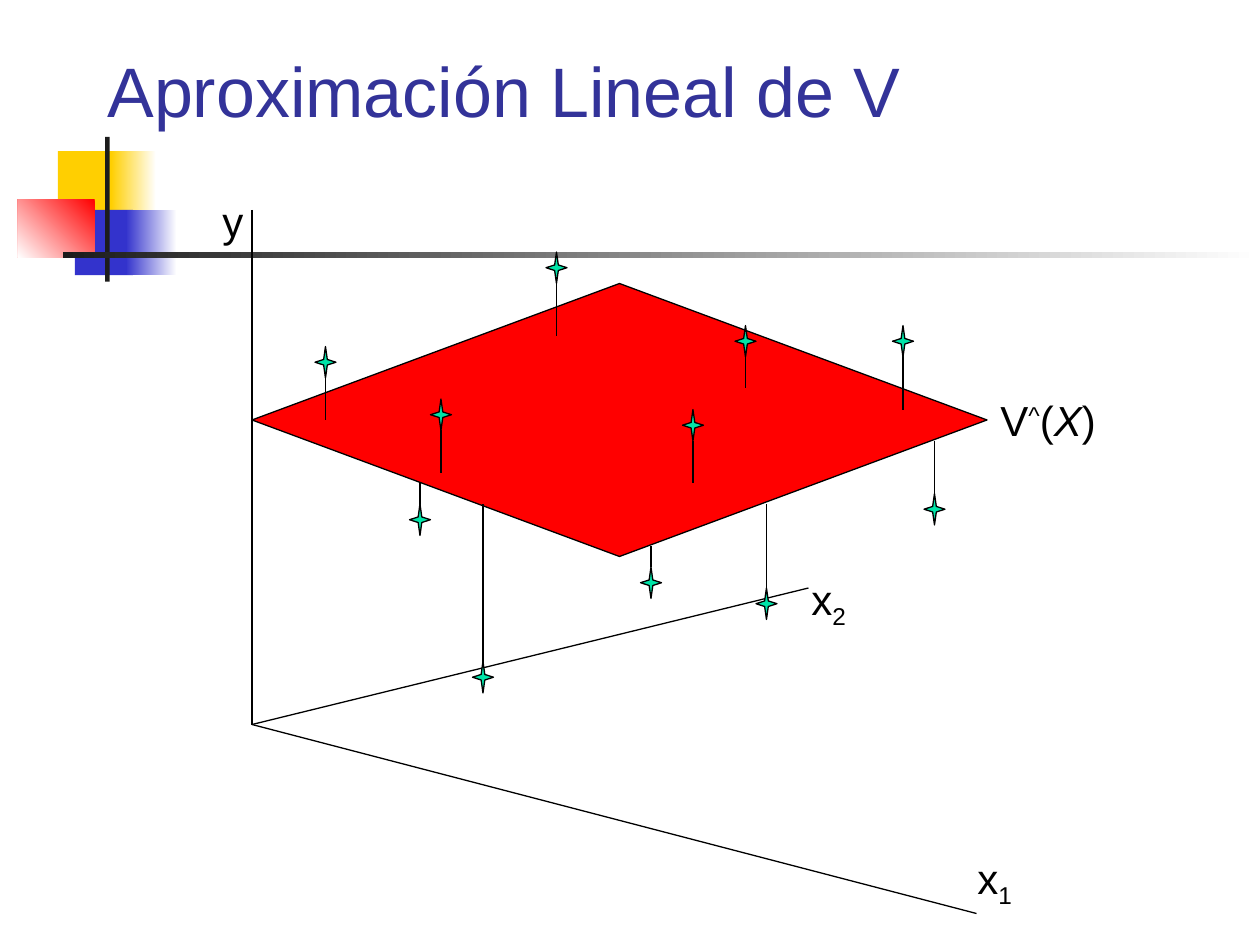
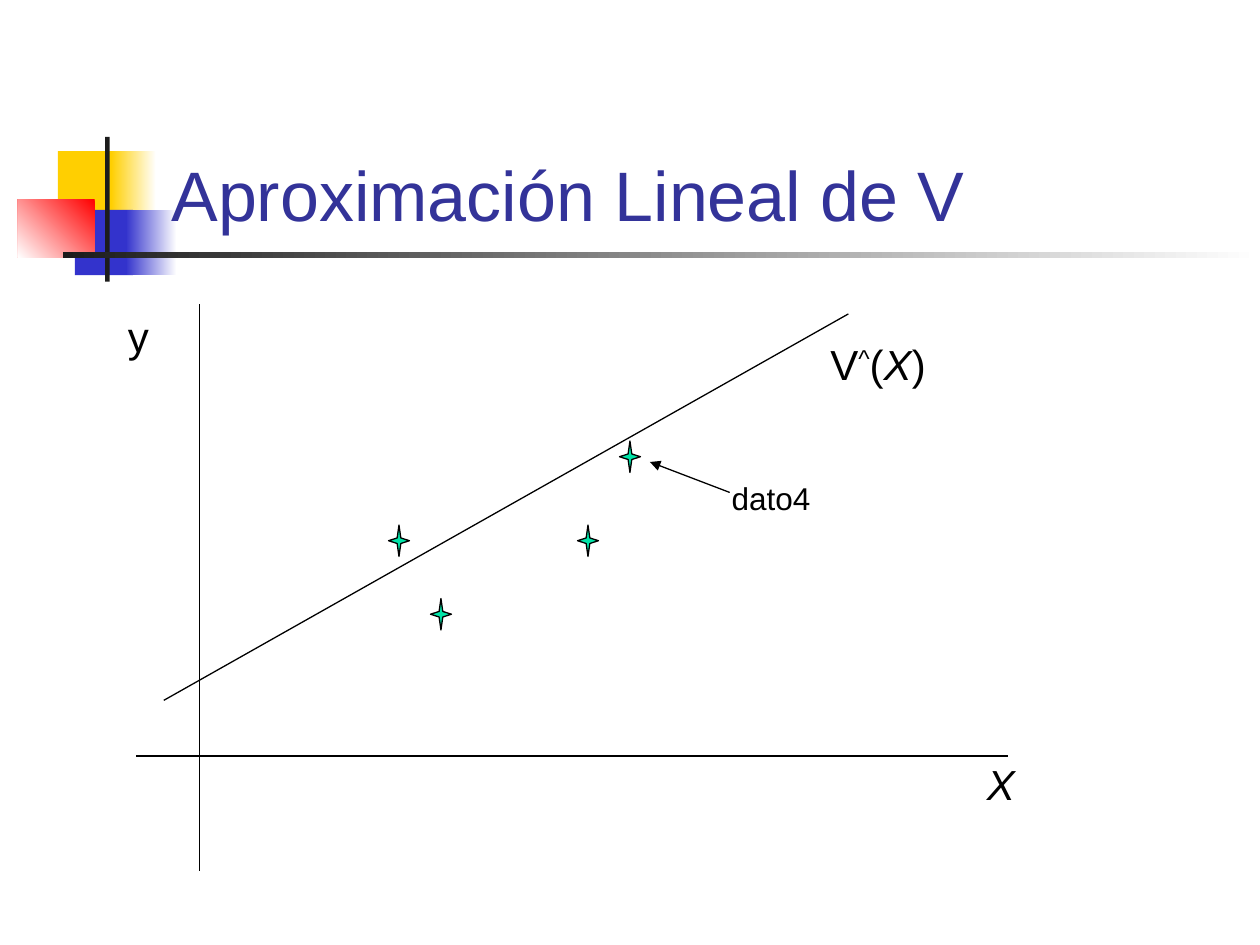
"""Build two slides on the linear approximation of V."""
from dataclasses import dataclass

from lxml import etree
from pptx import Presentation
from pptx.dml.color import RGBColor
from pptx.enum.shapes import MSO_CONNECTOR, MSO_SHAPE
from pptx.enum.text import MSO_ANCHOR, MSO_AUTO_SIZE
from pptx.oxml.ns import qn
from pptx.util import Cm, Pt

RECT, DIAMOND, STAR = MSO_SHAPE.RECTANGLE, MSO_SHAPE.DIAMOND, MSO_SHAPE.STAR_4_POINT
STRAIGHT = MSO_CONNECTOR.STRAIGHT
MIDDLE, BOTTOM = MSO_ANCHOR.MIDDLE, MSO_ANCHOR.BOTTOM
FIT_SHAPE = MSO_AUTO_SIZE.SHAPE_TO_FIT_TEXT


@dataclass(frozen=True)
class Theme:
    font: str = "Arial"
    title_size: int = 40
    label_size: int = 24
    note_size: int = 18
    line_width: float = 0.75
    title: str = "333399"
    ink: str = "000000"
    white: str = "FFFFFF"
    yellow: str = "FFCF01"
    blue: str = "3333CC"
    red: str = "FF0000"
    dark: str = "1C1C1C"
    datum: str = "00E4A8"


T = Theme()
TITLE = "Aproximación Lineal de V"
GRID = 2.54 / 12
STAR_W, STAR_H = 2, 3

DECOR = [
    (1.17, 3.05, 1.22, 1.32, [T.yellow], 0),
    (2.24, 3.05, 0.91, 1.32, [T.white, T.yellow], 180),
    (1.51, 4.23, 1.17, 1.32, [T.blue], 0),
    (2.54, 4.23, 1.02, 1.32, [T.white, T.blue], 180),
    (0.36, 4.02, 1.55, 1.17, [T.red, T.white], 225),
    (2.12, 2.76, 0.09, 2.92, [T.dark], 0),
    (1.27, 5.08, 24.13, 0.13, [T.white, T.dark], 180),
]

Y = [("y", 0, False)]
X = [("X", 0, True)]
X1 = [("x", 0, False), ("1", -25, False)]
X2 = [("x", 0, False), ("2", -25, False)]
V_HAT = [("V", 0, False), ("^", 30, False), ("(", 0, False), ("X", 0, True), (")", 0, False)]
DATO4 = [("dato4", 0, False)]

SLIDES = [
    {
        "title": ((9.05, 1, 102, 15), MIDDLE),
        "plane": (24, 27, 70, 26),
        "lines": [(24, 20, 24, 69), (24, 69, 93, 87), (24, 69, 77, 56)],
        "residuals": [
            (31, 35, 40), (42, 41, 45), (53, 27, 32), (71, 34, 37),
            (66, 42, 46), (46, 64, 48), (40, 49, 46), (62, 54, 52),
            (73, 56, 48), (89, 47, 42), (86, 33, 39),
        ],
        "stars": [
            (31, 33), (42, 38), (40, 48), (46, 63), (62, 54), (73, 56),
            (89, 47), (86, 31), (71, 31), (66, 39), (53, 24),
        ],
        "labels": [
            (X1, (91.9, 80.6, 7, 6.7), T.label_size),
            (X2, (76.1, 54, 7, 6.7), T.label_size),
            (Y, (20, 18, 4.5, 6), T.label_size),
            (V_HAT, (94.1, 37, 12, 6), T.label_size),
        ],
    },
    {
        "title": ((15.15, 8.05, 102.2, 15), BOTTOM),
        "lines": [(19, 29, 19, 83), (13, 72, 96, 72), (15.6, 66.7, 80.8, 29.9)],
        "stars": [(38, 50), (42, 57), (56, 50), (60, 42)],
        "arrow": (69.5, 46.9, 61.9, 44),
        "labels": [
            (Y, (11, 29, 4.5, 6), T.label_size),
            (X, (92.8, 71.65, 5.5, 6), T.label_size),
            (V_HAT, (77.9, 31.65, 12, 6), T.label_size),
            (DATO4, (68.5, 45, 11, 4.8), T.note_size),
        ],
    },
]


def rgb(color):
    return RGBColor.from_string(color)


def grid(*steps):
    return [Cm(n * GRID) for n in steps]


def add_solid(s, kind, box, colors, angle=0, outlined=False):
    sp = s.shapes.add_shape(kind, *box)
    sp.shadow.inherit = False
    if len(colors) == 1:
        sp.fill.solid()
        sp.fill.fore_color.rgb = rgb(colors[0])
    else:
        sp.fill.gradient()
        sp.fill.gradient_angle = angle
        for stop, color in zip(sp.fill.gradient_stops, colors):
            stop.color.rgb = rgb(color)
    if outlined:
        sp.line.color.rgb = rgb(T.ink)
        sp.line.width = Pt(T.line_width)
    else:
        sp.line.fill.background()
    return sp


def add_line(s, ends, arrow=False):
    sp = s.shapes.add_connector(STRAIGHT, *grid(*ends))
    sp.line.color.rgb = rgb(T.ink)
    sp.line.width = Pt(T.line_width)
    sp_pr = sp._element.spPr
    if arrow:
        etree.SubElement(sp_pr.find(qn("a:ln")), qn("a:tailEnd"), type="triangle")
    etree.SubElement(sp_pr, qn("a:effectLst"))


def add_text(s, box, runs, size, color):
    tf = s.shapes.add_textbox(*grid(*box)).text_frame
    p = tf.paragraphs[0]
    for text, shift, italic in runs:
        r = p.add_run()
        r.text = text
        r.font.name = T.font
        r.font.size = Pt(size)
        r.font.color.rgb = rgb(color)
        if italic:
            r.font.italic = True
        if shift:
            r._r.get_or_add_rPr().set("baseline", str(shift * 1000))
    return tf


def add_frame(s, box, anchor):
    for *place, colors, angle in DECOR:
        add_solid(s, RECT, [Cm(n) for n in place], colors, angle)
    tf = add_text(s, box, [(TITLE, 0, False)], T.title_size, T.title)
    tf.word_wrap = True
    tf.vertical_anchor = anchor


def add_star(s, center, top):
    box = grid(center - STAR_W / 2, top, STAR_W, STAR_H)
    sp = add_solid(s, STAR, box, [T.datum], outlined=True)
    sp.adjustments[0] = 0.125


def build_slide(prs, data):
    s = prs.slides.add_slide(prs.slide_layouts[6])
    add_frame(s, *data["title"])
    if "plane" in data:
        add_solid(s, DIAMOND, grid(*data["plane"]), [T.red], outlined=True)
    for ends in data["lines"]:
        add_line(s, ends)
    for x, start, end in data.get("residuals", []):
        add_line(s, (x, start, x, end))
    for center, top in data["stars"]:
        add_star(s, center, top)
    if "arrow" in data:
        add_line(s, data["arrow"], arrow=True)
    for runs, box, size in data["labels"]:
        tf = add_text(s, box, runs, size, T.ink)
        tf.word_wrap = True
        tf.auto_size = FIT_SHAPE


def main():
    prs = Presentation()
    prs.slide_width, prs.slide_height = Cm(25.4), Cm(19.05)
    for data in SLIDES:
        build_slide(prs, data)
    prs.save("out.pptx")


if __name__ == "__main__":
    main()
